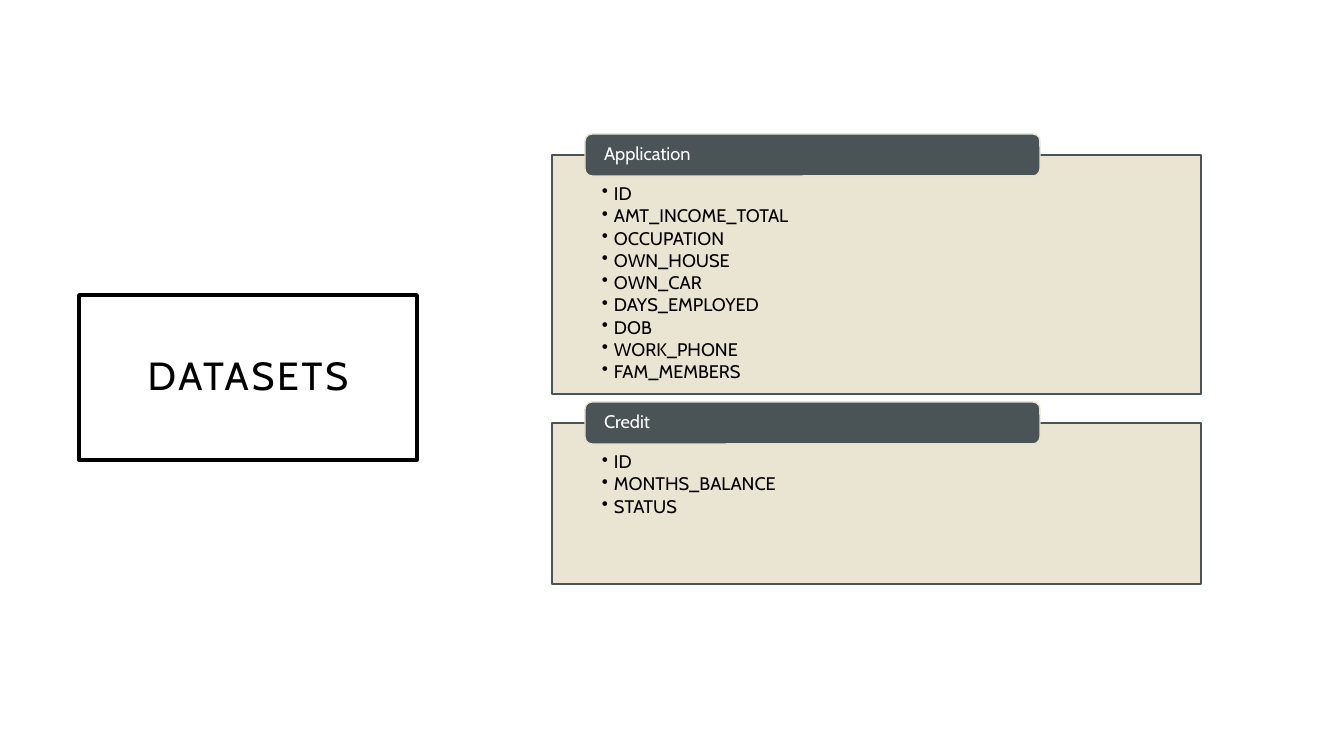
from pptx import Presentation
from pptx.dml.color import RGBColor
from pptx.enum.shapes import MSO_SHAPE as SHAPE
from pptx.enum.text import MSO_ANCHOR as ANCHOR, PP_ALIGN as ALIGN
from pptx.oxml.ns import qn
from pptx.util import Pt
from lxml import etree

EMU_PER_PX = 914400 / 100.8
FONT = "Cabin"
BLACK = RGBColor(0x00, 0x00, 0x00)
WHITE = RGBColor(0xFF, 0xFF, 0xFF)
SLATE = RGBColor(0x4A, 0x53, 0x56)
SAND = RGBColor(0xE8, 0xE3, 0xCE)

# Panel geometry
PANEL_X, PANEL_W = 552, 649
TAB_X, TAB_W, TAB_H = 585, 455, 42

# Heading, top, height, columns
DATASETS = [
    ("Application", 155, 239,
     ["ID", "AMT_INCOME_TOTAL", "OCCUPATION", "OWN_HOUSE", "OWN_CAR",
      "DAYS_EMPLOYED", "DOB", "WORK_PHONE", "FAM_MEMBERS"]),
    ("Credit", 423, 161, ["ID", "MONTHS_BALANCE", "STATUS"]),
]


def px(n):
    return round(n * EMU_PER_PX)


def add_box(s, kind, x, y, w, h, fill, line, line_pt, insets, anchor):
    sp = s.shapes.add_shape(kind, px(x), px(y), px(w), px(h))
    sp.shadow.inherit = False
    sp.fill.solid()
    sp.fill.fore_color.rgb = fill
    sp.line.color.rgb = line
    sp.line.width = Pt(line_pt)
    tf = sp.text_frame
    tf.word_wrap = True
    tf.vertical_anchor = anchor
    tf.margin_left, tf.margin_top, tf.margin_right, tf.margin_bottom = map(px, insets)
    return sp


def add_text(p, text, size, color, align=ALIGN.LEFT):
    p.alignment = align
    p.line_spacing = 0.9
    r = p.add_run()
    r.text = text
    r.font.name = FONT
    r.font.size = Pt(size)
    r.font.color.rgb = color
    return r


def set_alpha(sp, percent):
    color = sp.fill._xPr.find(qn("a:solidFill")).find(qn("a:srgbClr"))
    etree.SubElement(color, qn("a:alpha")).set("val", str(percent * 1000))


def add_bullet(p):
    pPr = p._p.get_or_add_pPr()
    pPr.set("marL", str(px(12)))
    pPr.set("indent", str(px(-12)))
    etree.SubElement(pPr, qn("a:buChar")).set("char", "•")


def add_title(s, text):
    sp = add_box(s, SHAPE.RECTANGLE, 79, 295, 338, 165, WHITE, BLACK, 2.5,
                 (20, 20, 20, 20), ANCHOR.MIDDLE)
    r = add_text(sp.text_frame.paragraphs[0], text, 28, BLACK, ALIGN.CENTER)
    r.font._element.set("spc", "200")


def add_dataset(s, heading, y, h, columns):
    # Panel with its bulleted columns
    panel = add_box(s, SHAPE.RECTANGLE, PANEL_X, y, PANEL_W, h, SAND, SLATE, 1,
                    (50, 30, 50, 10), ANCHOR.TOP)
    set_alpha(panel, 90)
    tf = panel.text_frame
    for i, column in enumerate(columns):
        p = tf.add_paragraph() if i else tf.paragraphs[0]
        p.level = 1
        add_bullet(p)
        p.space_after = Pt(1.8)
        add_text(p, column, 13, BLACK)

    # Heading tab centred on the panel's top edge
    tab = add_box(s, SHAPE.ROUNDED_RECTANGLE, TAB_X, y - TAB_H // 2, TAB_W, TAB_H,
                  SLATE, SAND, 1, (17, 0, 17, 0), ANCHOR.MIDDLE)
    add_text(tab.text_frame.paragraphs[0], heading, 13, WHITE)


def main():
    prs = Presentation()
    prs.slide_width, prs.slide_height = px(1344), px(756)
    s = prs.slides.add_slide(prs.slide_layouts[6])
    add_title(s, "DATASETS")
    for dataset in DATASETS:
        add_dataset(s, *dataset)
    prs.save("out.pptx")


if __name__ == "__main__":
    main()
